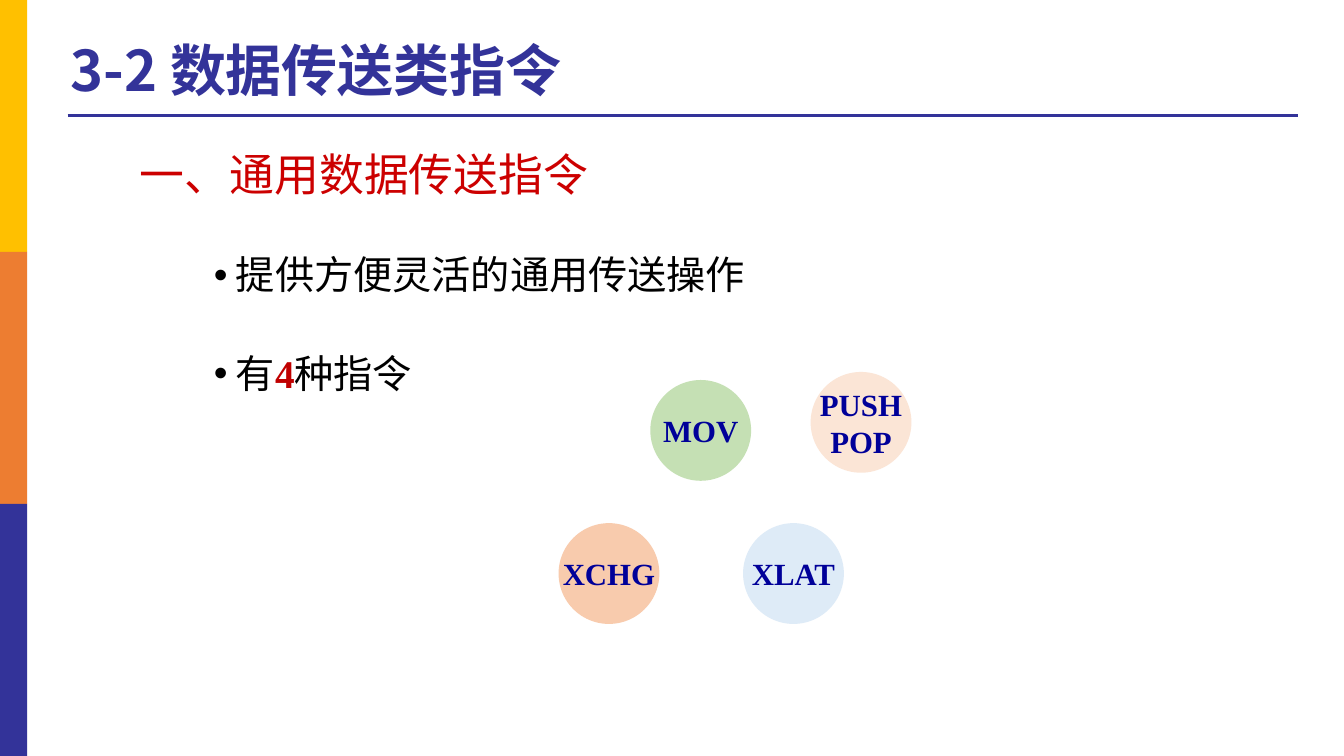
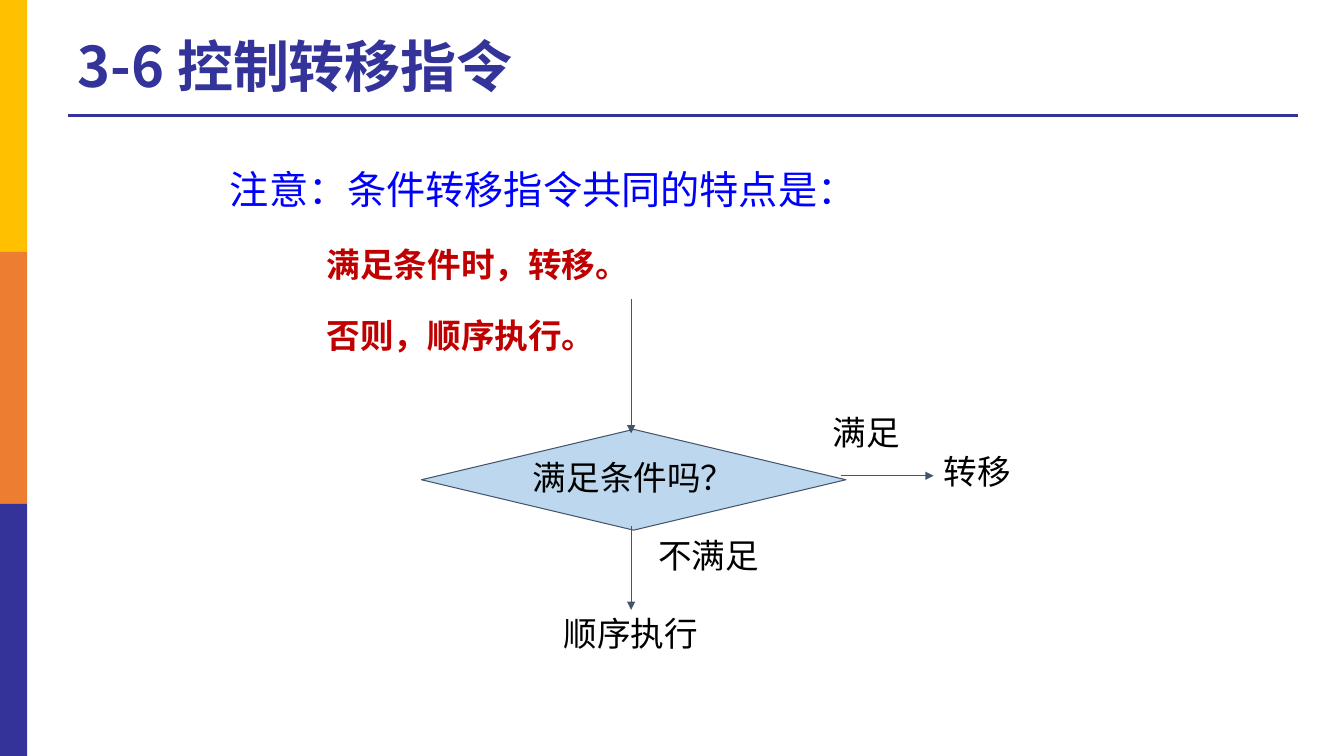
"""Build two lecture slides on data transfer and control transfer instructions."""
import pptx
import pptx.util
import pptx.dml.color
import pptx.enum.shapes
import pptx.enum.text
import pptx.oxml.ns
from lxml import etree

px = 9144
pt = pptx.util.Pt
qn = pptx.oxml.ns.qn
kind = pptx.enum.shapes.MSO_SHAPE
wire = pptx.enum.shapes.MSO_CONNECTOR.STRAIGHT
align = pptx.enum.text.PP_ALIGN
anchor = pptx.enum.text.MSO_ANCHOR
fit = pptx.enum.text.MSO_AUTO_SIZE
navy, black, red, slate = "333399", "000000", "C00000", "44546A"
sans, serif = "Noto Sans CJK SC", "Times New Roman"


def hue(code):
    """Turn a hex string into a colour."""
    return pptx.dml.color.RGBColor.from_string(code)


def style(para, size, code, bold=False, face=serif, gap=0.9, side=align.LEFT):
    """Format a paragraph and all its runs."""
    para.line_spacing, para.alignment = gap, side
    for run in para.runs:
        font = run.font
        font.size, font.bold, font.name = pt(size), bold, face
        font.color.rgb = hue(code)
        etree.SubElement(run._r.rPr, qn("a:ea"), typeface=sans)


deck = pptx.Presentation()
deck.slide_width, deck.slide_height = 1333 * px, 750 * px
layout = deck.slide_layouts[1]
heads = [
    ("3-2 数据传送类指令", (60, 29, 991, 87), (202, 249, 568, 170)),
    ("3-6 控制转移指令", (67, 25, 991, 87), (218, 139, 750, 262)),
]
for text, *boxes in heads:
    slide = deck.slides.add_slide(layout)
    for slot, box in zip(slide.placeholders, boxes):
        slot.left, slot.top, slot.width, slot.height = [n * px for n in box]
        slot.text_frame.auto_size = fit.NONE
    frame = slide.shapes.title.text_frame
    frame.text = text
    frame.vertical_anchor = anchor.MIDDLE
    style(frame.paragraphs[0], 40, navy, True, sans)
data, jump = deck.slides

# The bands and the rule move to the layout, which both slides share.
marks = []
for row, code in enumerate(["FFC000", "ED7D31", navy]):
    band = data.shapes.add_shape(kind.RECTANGLE, 0, row * 250 * px, 27 * px, 250 * px)
    band.shadow.inherit = False
    band.fill.solid()
    band.fill.fore_color.rgb = hue(code)
    band.line.fill.background()
    marks.append(band)
rule = data.shapes.add_connector(wire, 67 * px, 115 * px, 1287 * px, 115 * px)
rule.line.color.rgb, rule.line.width = hue(navy), pt(2.25)
etree.SubElement(rule.element.spPr, qn("a:effectLst"))
for num, mark in enumerate([*marks, rule]):
    mark.element.find(".//" + qn("p:cNvPr")).set("id", str(num + 20))
    layout.shapes.element.insert(num + 2, mark.element)

box = data.shapes.add_textbox(*[n * px for n in (129, 147, 477, 63)])
box.text_frame.word_wrap = True
box.text_frame.text = "一、通用数据传送指令"
style(box.text_frame.paragraphs[0], 32, "CC0000")

frame = data.placeholders[1].text_frame
frame.text = "提供方便灵活的通用传送操作"
last = frame.add_paragraph()
for part in ["有", "4", "种指令"]:
    last.add_run().text = part
for para, room in zip(frame.paragraphs, [0, 40]):
    style(para, 28, black)
    para.space_before = pt(room)
    prop = para._p.get_or_add_pPr()
    prop.set("marL", str(22 * px))
    prop.set("indent", str(-22 * px))
    etree.SubElement(prop, qn("a:buChar"), char="•")
count = last.runs[1].font
count.bold, count.color.rgb = True, hue(red)

codes = [
    ("MOV", 645, 377, "C5E0B4"),
    ("XCHG", 554, 519, "F8CBAD"),
    ("XLAT", 737, 519, "DEEBF7"),
    ("PUSH\nPOP", 804, 369, "FBE5D6"),
]
for text, left, top, code in codes:
    disc = data.shapes.add_shape(kind.OVAL, left * px, top * px, 100 * px, 100 * px)
    disc.shadow.inherit = False
    disc.fill.solid()
    disc.fill.fore_color.rgb = hue(code)
    disc.line.fill.background()
    frame = disc.text_frame
    frame.word_wrap = False
    frame.vertical_anchor = anchor.MIDDLE
    frame.text = text
    for para in frame.paragraphs:
        style(para, 22, "000099", True, gap=1.0, side=align.CENTER)

frame = jump.placeholders[1].text_frame
frame.text = "注意：条件转移指令共同的特点是：\n满足条件时，转移。\n否则，顺序执行。"
looks = [(28, "0000FF", False, 0, 0), (24, red, True, 10, 96), (24, red, True, 10, 96)]
for para, (size, code, bold, room, inset) in zip(frame.paragraphs, looks):
    style(para, size, code, bold, gap=1.43)
    para.space_before = pt(room)
    prop = para._p.get_or_add_pPr()
    prop.set("marL", str(inset * px))
    prop.set("indent", "0")
    etree.SubElement(prop, qn("a:buNone"))

test = jump.shapes.add_shape(kind.DIAMOND, *[n * px for n in (418, 426, 421, 100)])
test.shadow.inherit = False
test.fill.solid()
test.fill.fore_color.rgb = hue("BDD7EE")
test.line.color.rgb, test.line.width = hue(slate), pt(0.75)
test.text_frame.vertical_anchor = anchor.MIDDLE
test.text_frame.word_wrap = False
test.text_frame.text = "满足条件吗？"
style(test.text_frame.paragraphs[0], 24, black, side=align.CENTER)

ways = [(626, 297, 626, 430), (626, 522, 626, 605), (834, 472, 926, 472)]
for way in ways:
    arrow = jump.shapes.add_connector(wire, *[n * px for n in way])
    arrow.line.color.rgb, arrow.line.width = hue(slate), pt(0.75)
    props = arrow.element.spPr
    etree.SubElement(props.find(qn("a:ln")), qn("a:tailEnd"), type="triangle")
    etree.SubElement(props, qn("a:effectLst"))

notes = [
    ("满足", 816, 408, 87),
    ("不满足", 643, 530, 120),
    ("顺序执行", 549, 608, 153),
    ("转移", 926, 447, 87),
]
for text, left, top, width in notes:
    label = jump.shapes.add_textbox(left * px, top * px, width * px, 50 * px)
    label.text_frame.word_wrap = False
    label.text_frame.text = text
    style(label.text_frame.paragraphs[0], 24, black, side=align.CENTER)
arrow.end_connect(label, 1)

deck.save("out.pptx")
